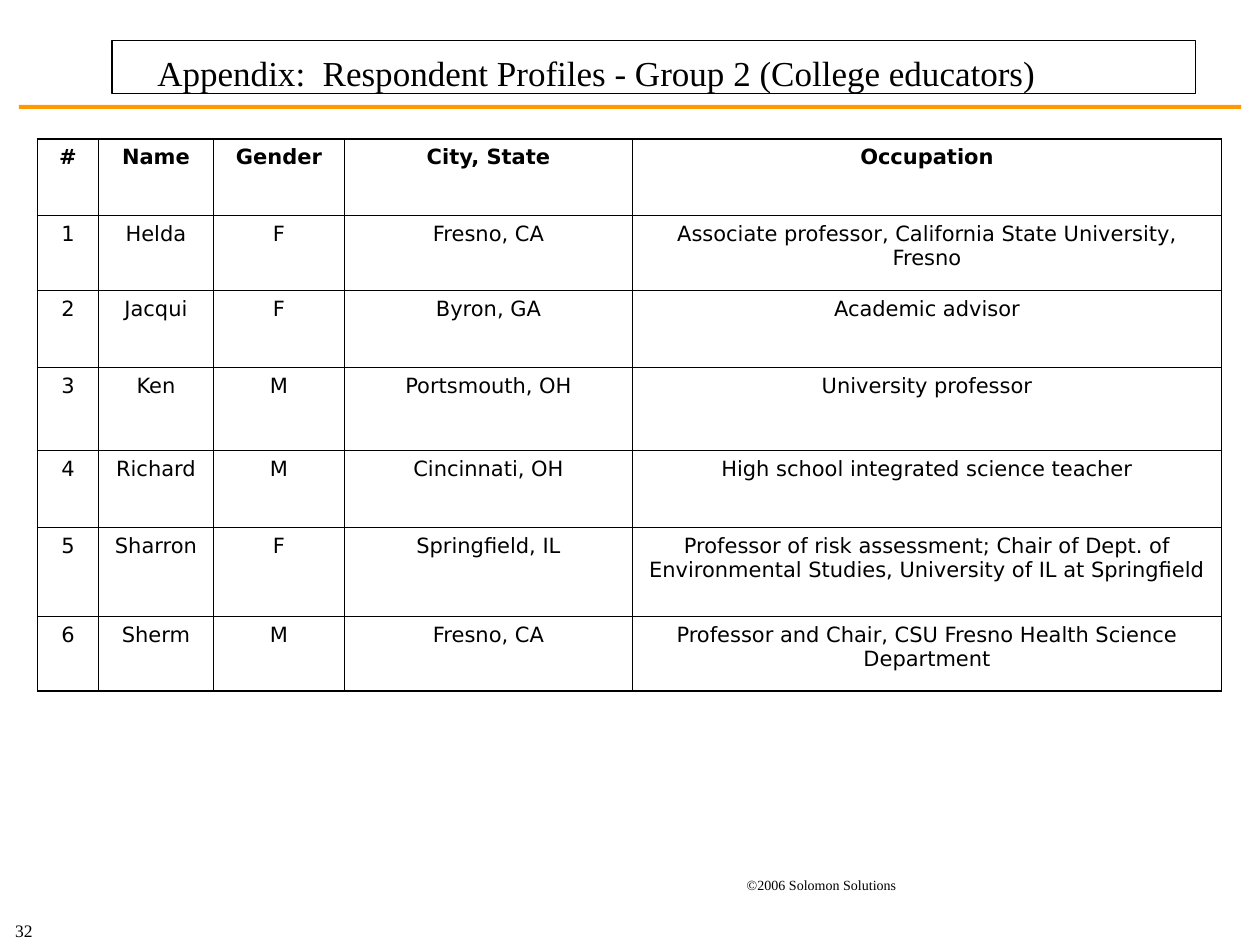
from lxml.etree import SubElement
from pptx import Presentation
from pptx.dml.color import RGBColor
from pptx.enum.shapes import MSO_SHAPE
from pptx.enum.text import MSO_ANCHOR, PP_ALIGN
from pptx.oxml.ns import qn
from pptx.util import Pt

BLACK = RGBColor(0x00, 0x00, 0x00)
WHITE = RGBColor(0xFF, 0xFF, 0xFF)
ORANGE = RGBColor(0xFF, 0x99, 0x00)
SERIF = "Times New Roman"
SANS = "DejaVu Sans"
OUTER_BORDER = 1.08
INNER_BORDER = 0.45

COLUMN_WIDTHS = [34.9, 65.7, 74.9, 164.6, 336.6]
ROW_HEIGHTS = [43.6, 43, 44, 47.5, 44, 50.8, 42.5]
PROFILES = [
    ("#", "Name", "Gender", "City, State", "Occupation"),
    ("1", "Helda", "F", "Fresno, CA",
     "Associate professor, California State University, Fresno"),
    ("2", "Jacqui", "F", "Byron, GA", "Academic advisor"),
    ("3", "Ken", "M", "Portsmouth, OH", "University professor"),
    ("4", "Richard", "M", "Cincinnati, OH",
     "High school integrated science teacher"),
    ("5", "Sharron", "F", "Springfield, IL",
     "Professor of risk assessment; Chair of Dept. of Environmental Studies, "
     "University of IL at Springfield"),
    ("6", "Sherm", "M", "Fresno, CA",
     "Professor and Chair, CSU Fresno Health Science Department"),
]


def write(frame, text, size, font, align, bold=False):
    paragraph = frame.paragraphs[0]
    paragraph.text = text
    paragraph.alignment = align
    paragraph.font.size = Pt(size)
    paragraph.font.name = font
    paragraph.font.bold = bold
    paragraph.font.color.rgb = BLACK


def add_bar(slide, left, top, width, height, color):
    bar = slide.shapes.add_shape(
        MSO_SHAPE.RECTANGLE, Pt(left), Pt(top), Pt(width), Pt(height))
    bar.shadow.inherit = False
    bar.fill.solid()
    bar.fill.fore_color.rgb = color
    bar.line.fill.background()
    return bar


def add_title(slide, left, top, width, height, text):
    title = add_bar(slide, left, top, width, height, WHITE)
    title.line.color.rgb = BLACK
    title.line.width = Pt(0.75)
    frame = title.text_frame
    frame.word_wrap = True
    frame.vertical_anchor = MSO_ANCHOR.TOP
    frame.margin_left = Pt(25.9)
    frame.margin_top = Pt(6.5)
    frame.margin_bottom = Pt(0)
    write(frame, text, 20, SERIF, PP_ALIGN.LEFT)


def add_footer(slide, left, top, width, height, text, size, wrap):
    footer = slide.shapes.add_textbox(Pt(left), Pt(top), Pt(width), Pt(height))
    frame = footer.text_frame
    frame.word_wrap = wrap
    frame.vertical_anchor = MSO_ANCHOR.MIDDLE
    write(frame, text, size, SERIF, PP_ALIGN.CENTER)


def set_borders(cell, outer_sides):
    properties = cell._tc.get_or_add_tcPr()
    for side, is_outer in outer_sides.items():
        width = OUTER_BORDER if is_outer else INNER_BORDER
        border = SubElement(properties, qn(f"a:{side}"), w=str(Pt(width)))
        fill = SubElement(border, qn("a:solidFill"))
        SubElement(fill, qn("a:srgbClr"), val=str(BLACK))


def add_profiles(slide, left, top):
    last_row, last_column = len(ROW_HEIGHTS) - 1, len(COLUMN_WIDTHS) - 1
    table = slide.shapes.add_table(
        len(ROW_HEIGHTS), len(COLUMN_WIDTHS), Pt(left), Pt(top),
        Pt(sum(COLUMN_WIDTHS)), Pt(sum(ROW_HEIGHTS))).table
    table.horz_banding = False
    for column, width in zip(table.columns, COLUMN_WIDTHS):
        column.width = Pt(width)
    for r, (height, profile) in enumerate(zip(ROW_HEIGHTS, PROFILES)):
        table.rows[r].height = Pt(height)
        for c, text in enumerate(profile):
            cell = table.cell(r, c)
            write(cell.text_frame, text, 12, SANS, PP_ALIGN.CENTER, bold=r == 0)
            set_borders(cell, {"lnL": c == 0, "lnR": c == last_column,
                               "lnT": r == 0, "lnB": r == last_row})
            cell.fill.background()


def main():
    presentation = Presentation()
    presentation.slide_width = Pt(720)
    presentation.slide_height = Pt(540)
    slide = presentation.slides.add_slide(presentation.slide_layouts[6])
    add_footer(slide, -14.4, 522, 56, 19.5, "32", 10, False)
    add_bar(slide, 10.8, 60, 698.4, 2.2, ORANGE)
    add_footer(slide, 355, 496.8, 229, 17.3, "©2006 Solomon Solutions", 8, True)
    add_title(slide, 64, 23.2, 619.2, 30.2,
              "Appendix:  Respondent Profiles - Group 2 (College educators)")
    add_profiles(slide, 21.4, 79.4)
    presentation.save("out.pptx")


if __name__ == "__main__":
    main()
